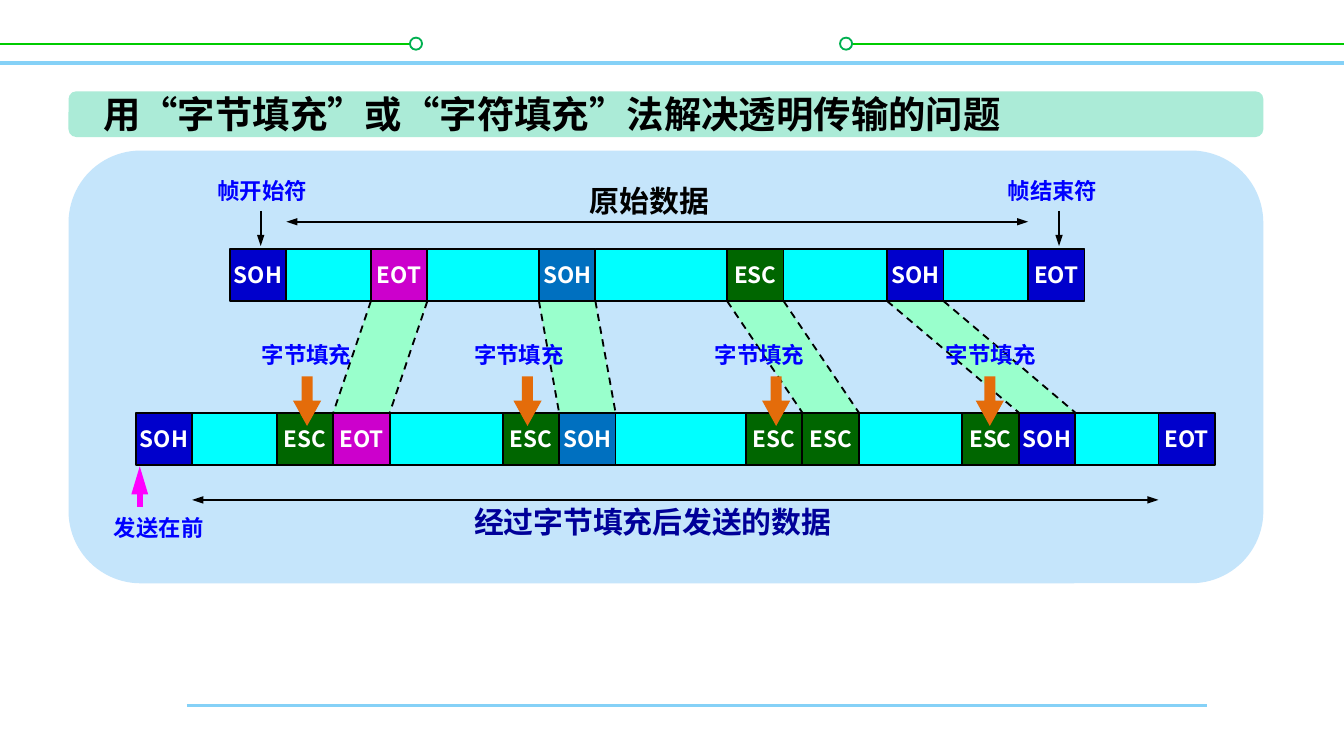
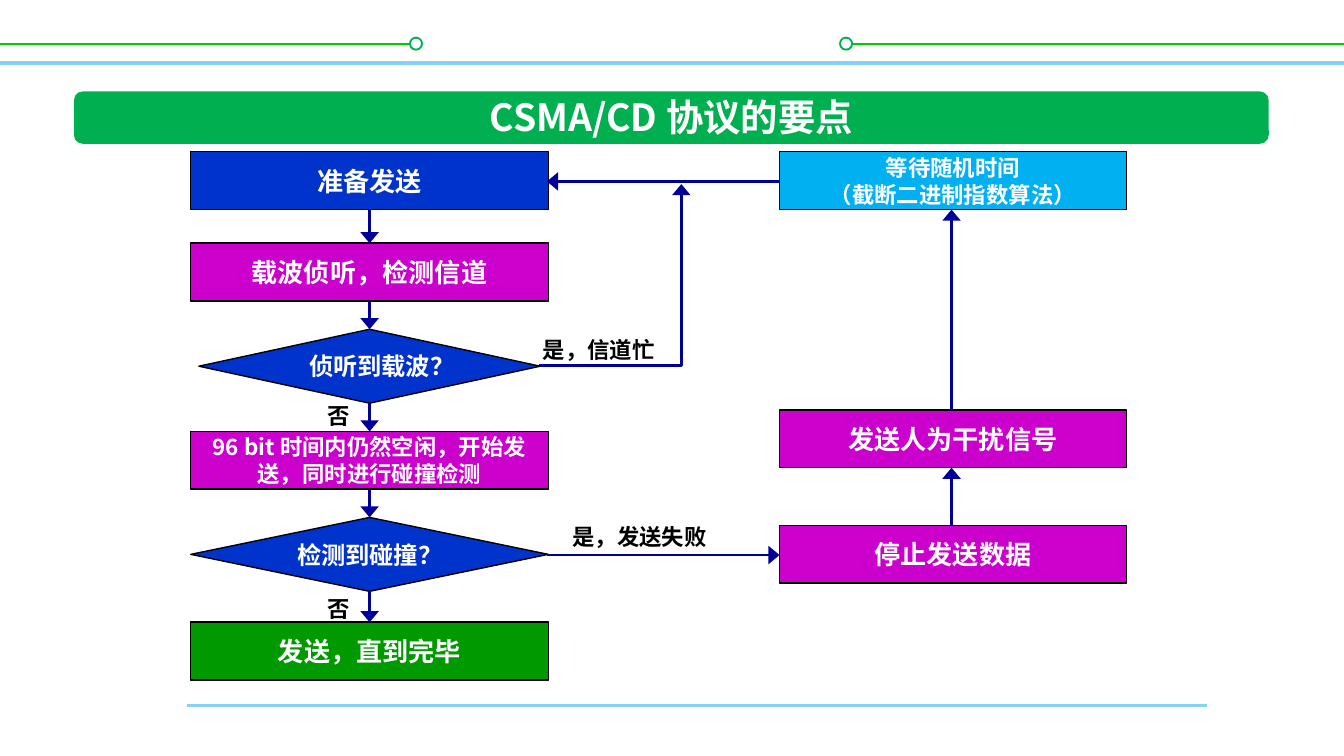
from itertools import pairwise
from pptx import Presentation
from pptx.dml.color import RGBColor as RGB
from pptx.enum.dml import MSO_LINE as DASH
from pptx.enum.shapes import MSO_CONNECTOR as CON, MSO_SHAPE as SHP
from pptx.enum.text import MSO_ANCHOR as ANC, MSO_AUTO_SIZE as FIT, PP_ALIGN as AL
from pptx.oxml.ns import qn
from pptx.util import Pt
from lxml.etree import SubElement as sub

PX = 9144  # one px is 1/100 inch
WIDE = 1000
HIGH = WIDE * 9 / 16
FONT = "Noto Sans CJK SC"
HUE = {
    "white": "FFFFFF", "black": "000000", "sky": "85D1F7", "lime": "00CC00",
    "green": "00B050", "mint": "ABEBD7", "pale": "C5E5FB", "navy": "000099",
    "blue": "0000CC", "link": "0000FF", "cyan": "00FFFF", "purple": "CC00CC",
    "forest": "006600", "steel": "0070C0", "band": "99FFCC", "pink": "FF00FF",
    "orange": "E46C0A", "royal": "0033CC", "leaf": "009900", "azure": "00B0F0",
}

# Slide 1: byte stuffing
CELL, TALL = 42, 39
UP, LOW = 185, 307
UP_ENDS = (171, 765)
LOW_ENDS = (101, 862)
# code, colour, x above, x of ESC below, x of label, x of arrow
STUFF = [
    ("EOT", "purple", 276, 206, 185, 218),
    ("SOH", "steel", 401, 374, 343, 382),
    ("ESC", "forest", 541, 555, 522, 567),
    ("SOH", "blue", 660, 716, 694, 726),
]
# text, box, format
NOTES = [
    ("经过字节填充后发送的数据", (343, 370, 327, 37), {"size": 16, "hue": "navy", "wrap": True}),
    ("发送在前", (75, 378, 93, 30), {"hue": "link", "wrap": True}),
    ("原始数据", (429, 131, 110, 37), {"size": 16}),
    ("帧开始符", (152, 127, 88, 30), {"hue": "link"}),
    ("帧结束符", (740, 127, 88, 30), {"hue": "link"}),
]

# Slide 2: flow chart; text, top, colour, size, is a question
LEFT = [
    ("准备发送", 113, "royal", 14, False),
    ("载波侦听，检测信道", 181, "purple", 14, False),
    ("侦听到载波？", 245, "royal", 13, True),
    ("96 bit 时间内仍然空闲，开始发送，同时进行碰撞检测", 321, "purple", 12, False),
    ("检测到碰撞？", 385, "royal", 13, True),
    ("发送，直到完毕", 463, "leaf", 14, False),
]
RIGHT = [
    ("停止发送数据", 391, "purple", 14, False),
    ("发送人为干扰信号", 305, "purple", 14, False),
    ("等待随机时间\n（截断二进制指数算法）", 113, "azure", 12, False),
]
WORDS = [
    ("是，信道忙", (394, 245, 104, 30)),
    ("是，发送失败", (416, 384, 121, 30)),
    ("否", (234, 438, 37, 30)),
    ("否", (234, 294, 37, 30)),
]
BOX, ASK = 43, 55  # heights of a box and of a question


def px(*vals):
    return [round(v * PX) for v in vals]


def tint(key):
    return RGB.from_string(HUE[key])


def write(shape, text, size=12, hue="black", align=AL.LEFT, wrap=False):
    frame = shape.text_frame
    frame.word_wrap = wrap
    frame.text = text
    for para in frame.paragraphs:
        para.alignment = align
        for run in para.runs:
            run.font.size, run.font.bold, run.font.name = Pt(size), True, FONT
            run.font.color.rgb = tint(hue)
            props = run._r.get_or_add_rPr()
            props.set("lang", "zh-CN")
            sub(props, qn("a:ea"), typeface=FONT)


def note(slide, text, box, **form):
    shape = slide.shapes.add_textbox(*px(*box))
    write(shape, text, **form)
    shape.text_frame.auto_size = FIT.SHAPE_TO_FIT_TEXT


def paint(shape, fill, edge=None, width=1):
    shape.shadow.inherit = False
    shape.fill.solid()
    shape.fill.fore_color.rgb = tint(fill)
    if edge:
        shape.line.color.rgb = tint(edge)
        shape.line.width = Pt(width)
    else:
        shape.line.fill.background()


def block(slide, kind, box, fill, edge=None, width=1, text="", adj=(), **form):
    shape = slide.shapes.add_shape(kind, *px(*box))
    for i, val in enumerate(adj):
        shape.adjustments[i] = val
    paint(shape, fill, edge, width)
    if text:
        shape.text_frame.vertical_anchor = ANC.MIDDLE
        write(shape, text, hue="white", align=AL.CENTER, **form)


def line(slide, start, end, hue, width=1, dash=False, ends=(), head=("sm", "med"), bent=False):
    kind = CON.ELBOW if bent else CON.STRAIGHT
    con = slide.shapes.add_connector(kind, *px(*start, *end))
    con.line.color.rgb = tint(hue)
    con.line.width = Pt(width)
    if dash:
        con.line.dash_style = DASH.DASH
    props = con.element.spPr
    if bent:
        props.find(qn("a:prstGeom")).set("prst", "bentConnector2")
    for tag in ends:
        sub(props.find(qn("a:ln")), qn("a:" + tag), type="triangle", w=head[0], len=head[1])
    sub(props, qn("a:effectLst"))


def base(deck):
    slide = deck.slides.add_slide(deck.slide_layouts[6])
    line(slide, (0, 47), (WIDE, 47), "sky", 2)
    for start, end, dot in ((0, 310, 305), (625, WIDE, 625)):
        line(slide, (start, 33), (end, 33), "lime")
        block(slide, SHP.OVAL, (dot, 28, 9, 9), "white", "green")
    line(slide, (139, 525), (898, 525), "sky", 1.5)
    return slide


def title(slide, text, bar, fill, box, **form):
    block(slide, SHP.ROUNDED_RECTANGLE, bar, fill, adj=[0.17])
    note(slide, text, box, size=20, **form)


def cell(slide, text, x, y, fill):
    block(slide, SHP.RECTANGLE, (x, y, CELL, TALL), fill, "black", text=text)


def track(slide, ends, y):
    first, last = ends
    block(slide, SHP.RECTANGLE, (first + CELL, y, last - first - CELL, TALL), "cyan", "black")
    cell(slide, "SOH", first, y, "blue")
    cell(slide, "EOT", last, y, "blue")


def stuffing(deck):
    slide = base(deck)
    title(slide, "用“字节填充”或“字符填充”法解决透明传输的问题",
          (51, 68, 889, 34), "mint", (67, 63, 693, 44))
    block(slide, SHP.ROUNDED_RECTANGLE, (51, 112, 889, 322), "pale")

    # Bands between the two rows
    foot = UP + TALL
    for _, _, top, esc, _, _ in STUFF:
        low = esc + CELL
        pen = slide.shapes.build_freeform(low, LOW, scale=PX)
        pen.add_line_segments([(low + CELL, LOW), (top + CELL, foot), (top, foot)])
        paint(pen.convert_to_shape(), "band")

    # Rows of cells
    track(slide, LOW_ENDS, LOW)
    track(slide, UP_ENDS, UP)
    for code, fill, top, esc, _, _ in STUFF:
        cell(slide, code, top, UP, fill)
        cell(slide, "ESC", esc, LOW, "forest")
        cell(slide, code, esc + CELL, LOW, fill)
        for side in (0, CELL):
            line(slide, (top + side, foot), (esc + CELL + side, LOW), "black", dash=True)

    # Spans, pointers and notes
    for (first, last), y in ((UP_ENDS, 165), (LOW_ENDS, 372)):
        line(slide, (first + CELL, y), (last, y), "black", ends=("headEnd", "tailEnd"))
    for x in (194, 788):
        line(slide, (x, 157), (x, 183), "black", ends=["tailEnd"])
    line(slide, (104, 377), (104, 347), "pink", 3, ends=["tailEnd"], head=("med", "lg"))
    for text, box, form in NOTES:
        note(slide, text, box, **form)
    for *_, tag, _ in STUFF:
        note(slide, "字节填充", (tag, 249, 88, 30), hue="link")
    for *_, x in STUFF:
        block(slide, SHP.DOWN_ARROW, (x, 280, 21, 37), "orange", adj=[0.39, 0.9])


def column(slide, steps, x, wide):
    for text, y, fill, size, ask in steps:
        trim = 6 if text == "侦听到载波？" else 0
        kind, high = (SHP.DIAMOND, ASK) if ask else (SHP.RECTANGLE, BOX)
        block(slide, kind, (x + trim, y, wide - 2 * trim, high), fill, "black", 0.75,
              text=text, size=size, wrap=True)


def flow(deck):
    slide = base(deck)
    title(slide, "CSMA/CD 协议的要点", (55, 68, 889, 39), "green",
          (345, 65, 309, 44), hue="white", align=AL.CENTER)
    column(slide, LEFT, 142, 266)
    column(slide, RIGHT, 580, 258)

    # Arrows down the left, up the right, and across
    hops = [((275, a[1] + (ASK if a[4] else BOX)), (275, b[1])) for a, b in pairwise(LEFT)]
    hops += [((708, a[1]), (708, b[1] + BOX)) for a, b in pairwise(RIGHT)]
    hops += [((407, 413), (580, 413)), ((580, 135), (407, 135))]
    look = {"hue": "navy", "width": 1.5, "ends": ["tailEnd"], "head": ("lg", "med")}
    for start, end in hops:
        line(slide, start, end, **look)
    line(slide, (401, 272), (507, 137), bent=True, **look)
    for text, box in WORDS:
        note(slide, text, box)


def main():
    deck = Presentation()
    deck.slide_width, deck.slide_height = px(WIDE, HIGH)
    stuffing(deck)
    flow(deck)
    deck.save("out.pptx")


if __name__ == "__main__":
    main()
